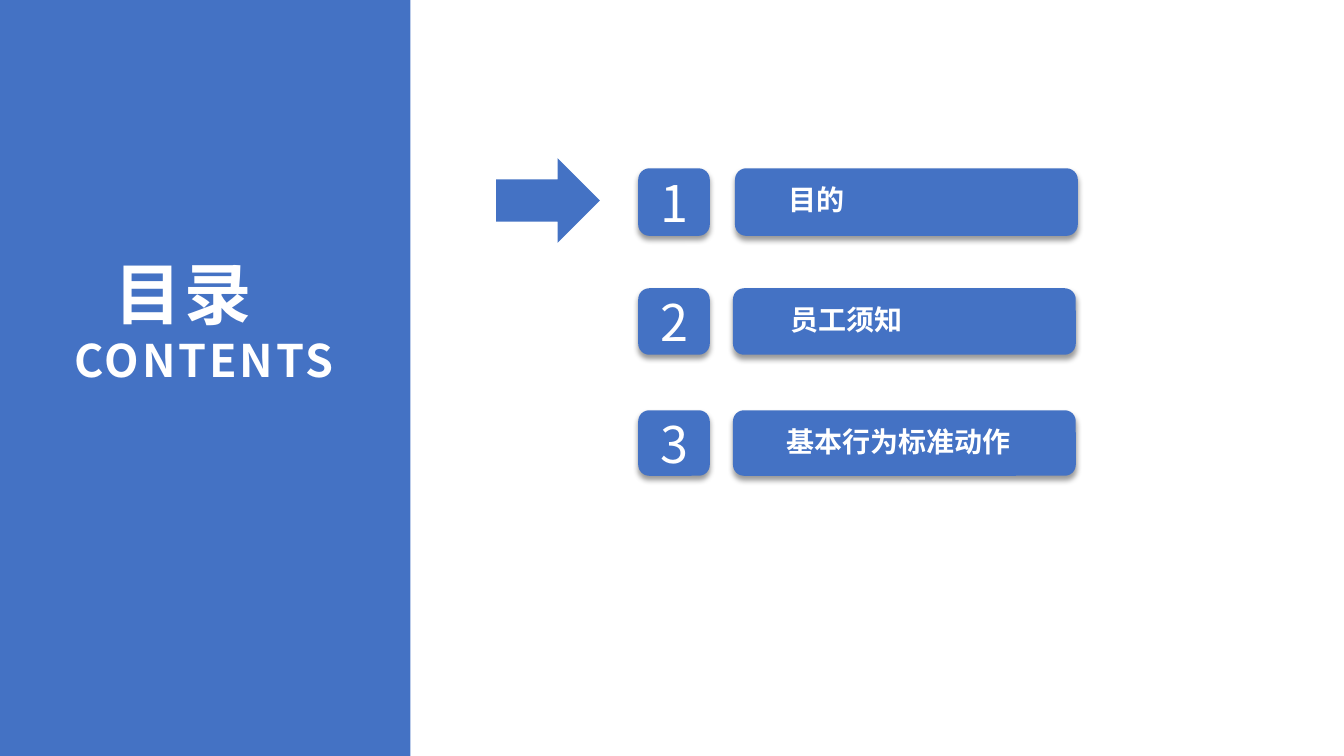
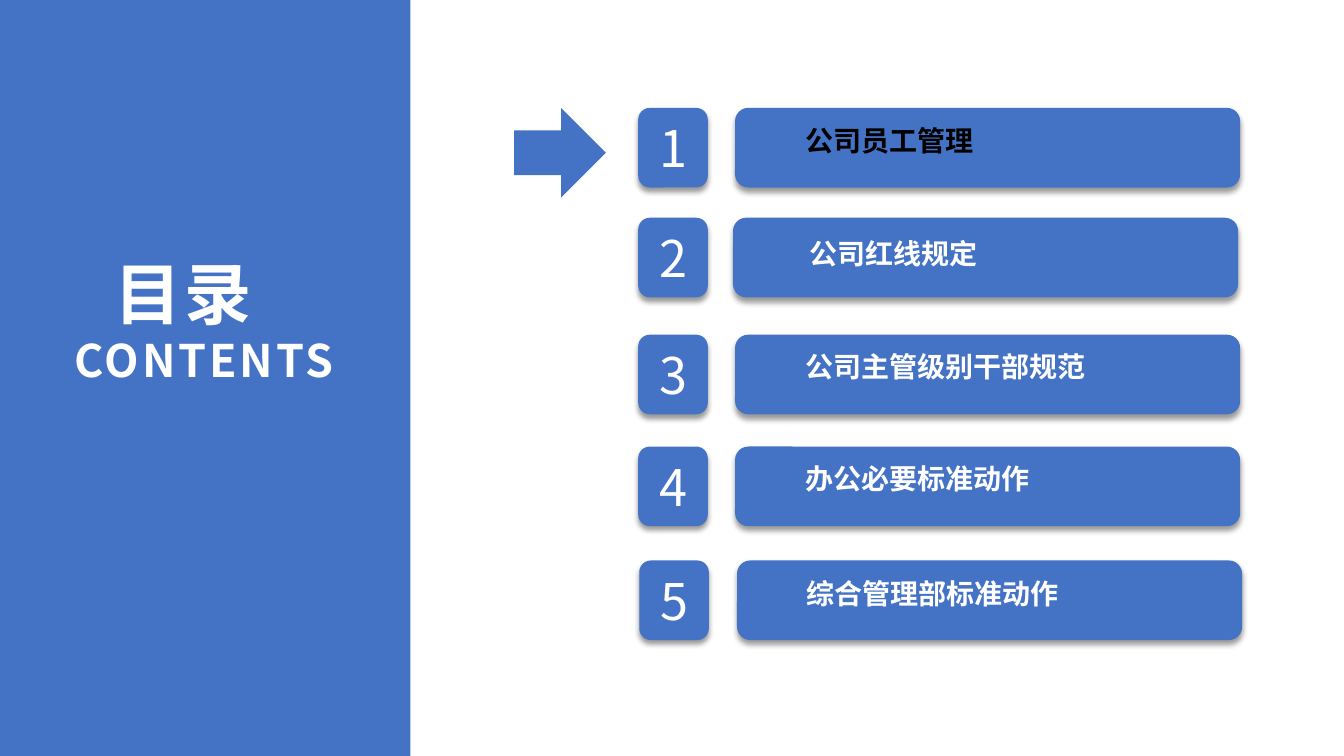
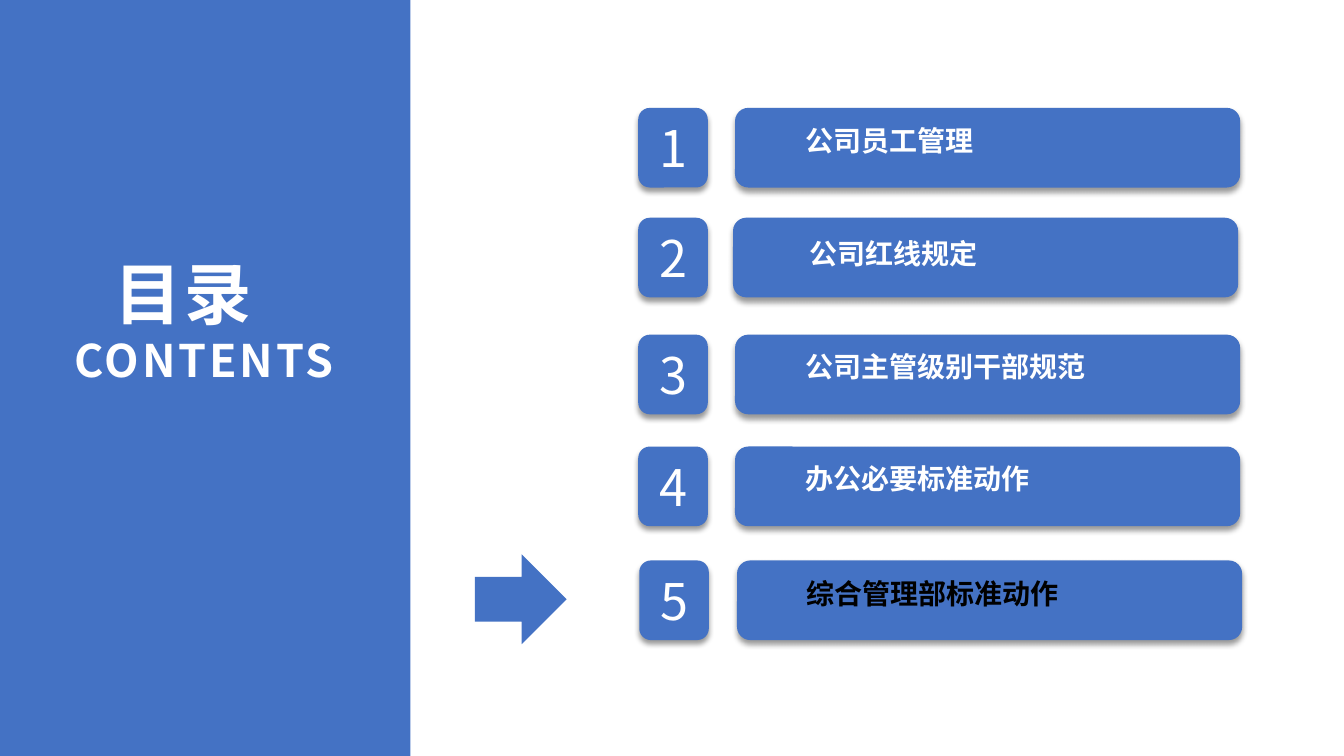
import pptx
import pptx.util
import pptx.dml.color
import pptx.enum.shapes
import pptx.enum.text
import pptx.oxml
import pptx.oxml.ns

Inches = pptx.util.Inches
SHAPE = pptx.enum.shapes.MSO_SHAPE
ALIGN = pptx.enum.text.PP_ALIGN
ANCHOR = pptx.enum.text.MSO_ANCHOR

BLUE, WHITE, BLACK = "4472C4", "FFFFFF", "000000"
FONT = "Noto Sans CJK SC"
SHADOW = (
    f'<a:effectLst {pptx.oxml.ns.nsdecls("a")}>'
    '<a:outerShdw blurRad="50800" dist="38100" dir="5400000" rotWithShape="0">'
    '<a:srgbClr val="000000"><a:alpha val="40000"/></a:srgbClr>'
    '</a:outerShdw></a:effectLst>'
)

PANEL = (0, 0, 4.07, 7.5)
TITLE = (0.37, 2.43, 3.07, 1.48)
TITLE_LINES = [("目录 ", 48, ALIGN.CENTER), ("CONTENTS", 32, ALIGN.RIGHT)]
TITLE_INSETS = (0.13, 0.07)
LABEL_INSETS = (0.18, 0.09)
LABEL_HEIGHT = 0.51

# Each row: label, top, height, number left, bar left, label left, label top
OVERVIEW = [
    ("目的", 1.67, 0.67, 6.33, 7.29, 7.64, 1.72),
    ("员工须知", 2.86, 0.66, 6.33, 7.27, 7.66, 2.91),
    ("基本行为标准动作", 4.07, 0.65, 6.33, 7.27, 7.62, 4.12),
]
STANDARDS = [
    ("公司员工管理", 1.07, 0.79, 6.33, 7.29, 7.81, 1.13),
    ("公司红线规定", 2.16, 0.79, 6.33, 7.27, 7.85, 2.26),
    ("公司主管级别干部规范", 3.32, 0.79, 6.33, 7.29, 7.81, 3.38),
    ("办公必要标准动作", 4.43, 0.79, 6.33, 7.29, 7.81, 4.49),
    ("综合管理部标准动作", 5.56, 0.79, 6.34, 7.31, 7.82, 5.63),
]
PAGES = [
    dict(rows=OVERVIEW, number_width=0.71, bar_width=3.4, label_width=2.69,
         arrow=(4.92, 1.57, 1.03, 0.84), current=None),
    dict(rows=STANDARDS, number_width=0.69, bar_width=5.01, label_width=3.66,
         arrow=(5.1, 1.07, 0.91, 0.89), current=0),
    dict(rows=STANDARDS, number_width=0.69, bar_width=5.01, label_width=3.66,
         arrow=(4.71, 5.5, 0.91, 0.89), current=4),
]


def rgb(value):
    return pptx.dml.color.RGBColor.from_string(value)


def place(box, area):
    for name, value in zip(("left", "top", "width", "height"), area):
        setattr(box, name, Inches(value))


def add_block(shapes, kind, area, raised=False):
    """Add a blue preset shape, with a soft shadow below it when raised."""
    block = shapes.add_shape(kind, *map(Inches, area))
    block.fill.solid()
    block.fill.fore_color.rgb = rgb(BLUE)
    block.line.fill.background()
    if raised:
        block._element.spPr.append(pptx.oxml.parse_xml(SHADOW))
    else:
        block.shadow.inherit = False
    return block


def set_frame(box, insets, anchor):
    across, down = map(Inches, insets)
    formats = dict(margin_left=across, margin_right=across, margin_top=down,
                   margin_bottom=down, word_wrap=True, vertical_anchor=anchor,
                   auto_size=pptx.enum.text.MSO_AUTO_SIZE.NONE)
    for name, value in formats.items():
        setattr(box.text_frame, name, value)


def write(para, text, size, align=ALIGN.LEFT, bold=True, colour=WHITE):
    para.alignment = align
    span = para.add_run()
    span.text = text
    for name, value in dict(size=pptx.util.Pt(size), bold=bold, name=FONT).items():
        setattr(span.font, name, value)
    span.font.color.rgb = rgb(colour)
    east_asian = span._r.get_or_add_rPr().makeelement(
        pptx.oxml.ns.qn("a:ea"), {"typeface": FONT})
    span.font._element.find(pptx.oxml.ns.qn("a:latin")).addnext(east_asian)
    return span


def add_title(page):
    title = page.shapes.title
    set_frame(title, TITLE_INSETS, ANCHOR.TOP)
    frame = title.text_frame
    for index, (text, size, align) in enumerate(TITLE_LINES):
        para = frame.add_paragraph() if index else frame.paragraphs[0]
        span = write(para, text, size, align)
        span.font._element.set("spc", "200")


def add_row(page, number, row, design):
    label, top, height, number_left, bar_left, label_left, label_top = row
    badge = add_block(page.shapes, SHAPE.ROUNDED_RECTANGLE,
                      (number_left, top, design["number_width"], height), raised=True)
    set_frame(badge, TITLE_INSETS, ANCHOR.MIDDLE)
    write(badge.text_frame.paragraphs[0], str(number), 36, ALIGN.CENTER, bold=False)

    entry = page.shapes.add_group_shape()
    add_block(entry.shapes, SHAPE.ROUNDED_RECTANGLE,
              (bar_left, top, design["bar_width"], height), raised=True)
    caption = entry.shapes.add_textbox(
        *map(Inches, (label_left, label_top, design["label_width"], LABEL_HEIGHT)))
    set_frame(caption, LABEL_INSETS, ANCHOR.TOP)
    colour = BLACK if number - 1 == design["current"] else WHITE
    write(caption.text_frame.paragraphs[0], label, 20, colour=colour)


def main():
    deck = pptx.Presentation()
    deck.slide_width, deck.slide_height = Inches(13.33), Inches(7.5)
    layout = deck.slide_layouts.get_by_name("Title Only")
    place(layout.placeholders[0], TITLE)

    for design in PAGES:
        page = deck.slides.add_slide(layout)
        add_title(page)
        for number, row in enumerate(design["rows"], 1):
            add_row(page, number, row, design)
        add_block(page.shapes, SHAPE.RIGHT_ARROW, design["arrow"])

    # The side panel belongs to the layout, behind every title
    panel = add_block(page.shapes, SHAPE.RECTANGLE, PANEL)
    layout.shapes._spTree.insert(2, panel._element)
    deck.save("out.pptx")


if __name__ == "__main__":
    main()
